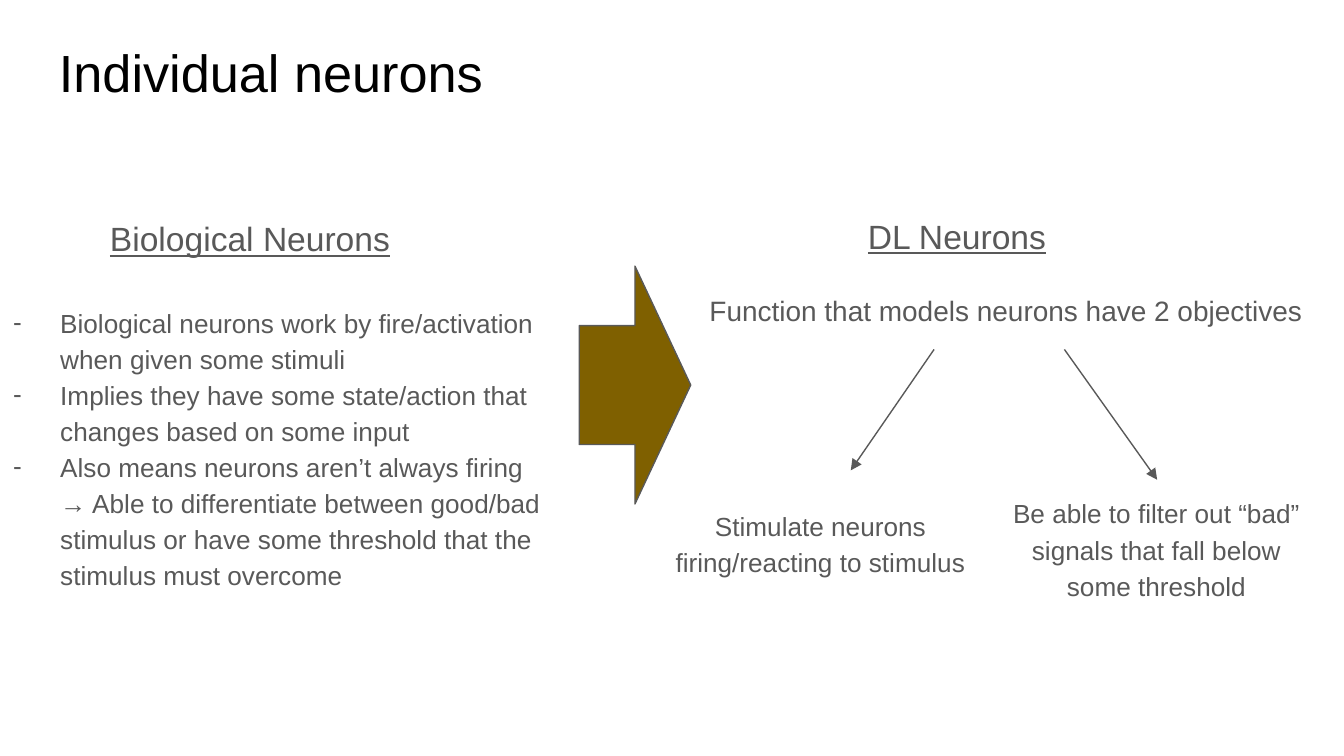
from lxml import etree
from pptx import Presentation
from pptx import util as u
from pptx.dml.color import RGBColor
from pptx.enum import shapes, text
from pptx.oxml.ns import qn

COLORS = {"title": "000000", "body": "595959", "arrow": "7F6000"}
CENTER = text.PP_ALIGN.CENTER
LEFT = text.PP_ALIGN.LEFT


class NeuronSlide:
    font_name = "Arial"
    line_width = u.Pt(0.75)
    inset = u.Inches(0.1)

    def __init__(self, presentation):
        self.slide = presentation.slides.add_slide(presentation.slide_layouts[6])

    def color(self, name):
        return RGBColor.from_string(COLORS[name])

    def add_text(self, box, lines, size, color="body", align=LEFT,
                 underline=None, spacing=1.15, after=0, bullet=None):
        shape = self.slide.shapes.add_textbox(*map(u.Inches, box))
        frame = shape.text_frame
        frame.word_wrap = True
        frame.margin_left = frame.margin_right = self.inset
        frame.margin_top = frame.margin_bottom = self.inset
        frame.text = "\n".join(lines)
        for paragraph in frame.paragraphs:
            paragraph.alignment = align
            paragraph.line_spacing = spacing
            paragraph.space_after = u.Pt(after)
            if bullet:
                self.add_bullet(paragraph, bullet)
            font = paragraph.font
            font.name = self.font_name
            font.size = u.Pt(size)
            font.underline = underline
            font.color.rgb = self.color(color)

    def add_bullet(self, paragraph, character):
        properties = paragraph._p.get_or_add_pPr()
        properties.set("marL", str(u.Inches(0.5)))
        properties.set("indent", str(u.Inches(-0.35)))
        bullet_color = etree.SubElement(properties, qn("a:buClr"))
        etree.SubElement(bullet_color, qn("a:srgbClr"), val=COLORS["body"])
        etree.SubElement(properties, qn("a:buFont"), typeface=self.font_name)
        etree.SubElement(properties, qn("a:buChar"), char=character)

    def add_arrow_line(self, start, end):
        connector = self.slide.shapes.add_connector(
            shapes.MSO_CONNECTOR.STRAIGHT, *map(u.Inches, start + end))
        connector.line.color.rgb = self.color("body")
        connector.line.width = self.line_width
        line = connector.line._get_or_add_ln()
        etree.SubElement(line, qn("a:tailEnd"), type="triangle")
        etree.SubElement(connector._element.spPr, qn("a:effectLst"))

    def add_block_arrow(self, box, rotation):
        shape = self.slide.shapes.add_shape(
            shapes.MSO_SHAPE.DOWN_ARROW, *map(u.Inches, box))
        shape.rotation = rotation
        shape.shadow.inherit = False
        shape.fill.solid()
        shape.fill.fore_color.rgb = self.color("arrow")
        shape.line.color.rgb = self.color("body")
        shape.line.width = self.line_width


def main():
    presentation = Presentation()
    presentation.slide_width = u.Inches(10)
    presentation.slide_height = u.Inches(10 * 9 / 16)
    page = NeuronSlide(presentation)

    page.add_text((0.34, 0.2, 9.32, 0.63), ["Individual neurons"], 28,
                  color="title", spacing=1)
    page.add_text((-0.15, 2.15, 4.34, 2.42), [
        "Biological neurons work by fire/activation when given some stimuli",
        "Implies they have some state/action that changes based on some input",
        "Also means neurons aren’t always firing → Able to differentiate between "
        "good/bad stimulus or have some threshold that the stimulus must overcome",
    ], 14, bullet="-")

    for box, heading in [((0.72, 1.48, 2.37, 0.5), "Biological Neurons"),
                         ((6.36, 1.46, 1.61, 0.5), "DL Neurons")]:
        page.add_text(box, [heading], 18, underline=True, after=16)

    for box, statement, size in [
        ((5.03, 2.05, 4.91, 0.82),
         "Function that models neurons have 2 objectives", 15),
        ((4.92, 3.66, 2.37, 0.82),
         "Stimulate neurons firing/reacting to stimulus", 14),
        ((7.42, 3.57, 2.37, 1),
         "Be able to filter out “bad” signals that fall below some threshold", 14),
    ]:
        page.add_text(box, [statement], size, align=CENTER, after=16)

    page.add_arrow_line((6.95, 2.6), (6.33, 3.5))
    page.add_arrow_line((7.92, 2.6), (8.61, 3.57))
    page.add_block_arrow((3.84, 2.45, 1.77, 0.83), 270)

    presentation.save("out.pptx")


if __name__ == "__main__":
    main()
